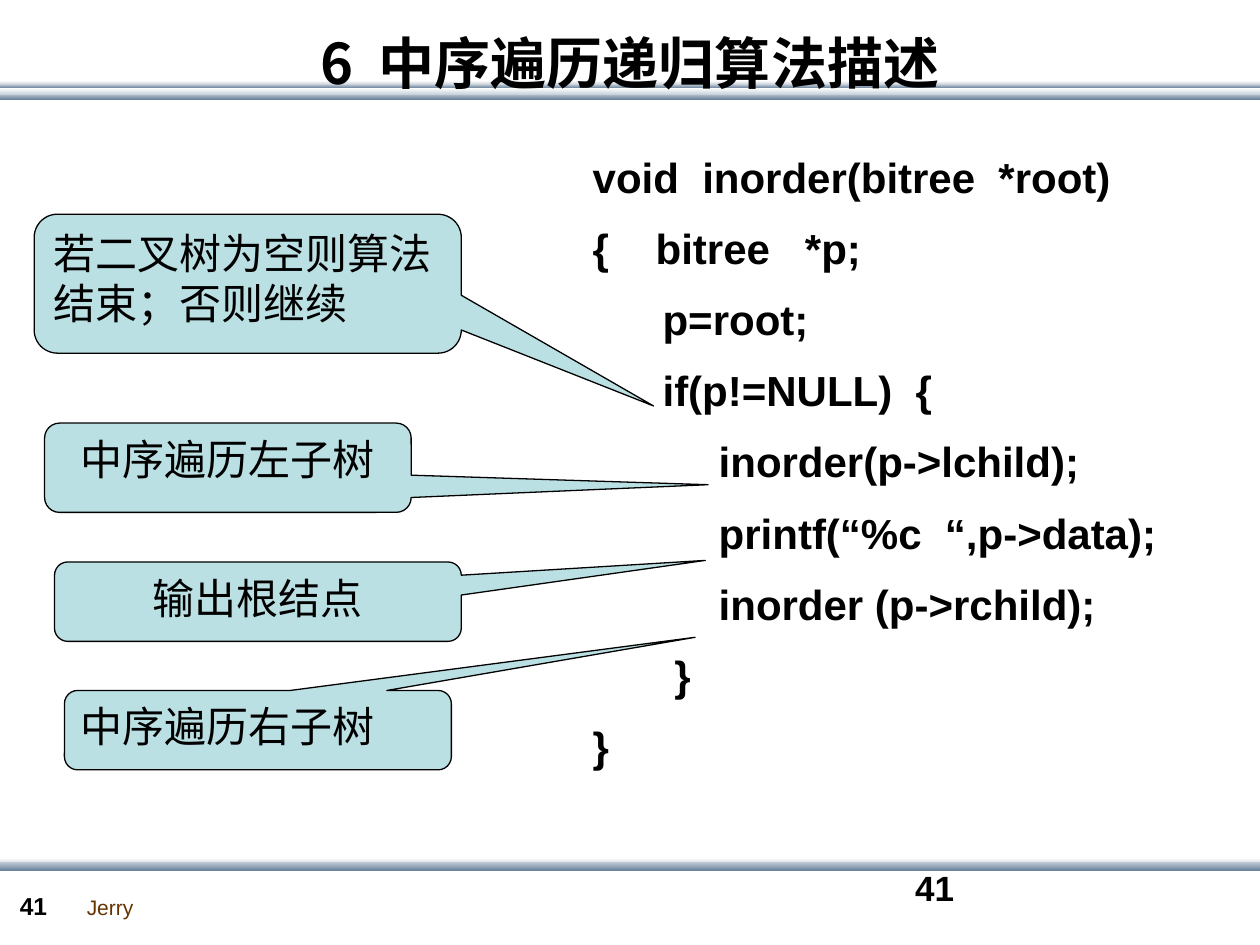
import pptx
import pptx.util
import pptx.dml.color
import pptx.enum.shapes
import pptx.enum.text
import pptx.oxml.ns
import lxml.etree

Cm, Pt = pptx.util.Cm, pptx.util.Pt
ALIGN = pptx.enum.text.PP_ALIGN
ANCHOR = pptx.enum.text.MSO_ANCHOR
SHAPE = pptx.enum.shapes.MSO_SHAPE
qn = pptx.oxml.ns.qn

# ---- Content (lengths in cm) ----
COLORS = {"white": "FFFFFF", "mist": "C8D1DA", "steel": "6A839C",
          "callout": "BBE0E3", "ink": "000000", "brown": "663300"}
LATIN, CJK = "Arial", "Noto Sans CJK SC"
SLIDE_WIDTH, SLIDE_HEIGHT = 25.4, 19.05

# top, height, first colour, last colour
RULES = [
    (1.88, 0.13, "mist", "steel"),
    (1.7, 0.08, "mist", "steel"),
    (1.78, 0.13, "white", "mist"),
    (1.63, 0.08, "white", "mist"),
    (17.3, 0.13, "white", "mist"),
    (17.37, 0.18, "mist", "steel"),
]

TITLE = "6  中序遍历递归算法描述"
AUTHOR = "Jerry"
PAGE = "41"

CODE = [
    "void  inorder(bitree  *root)",
    "{    bitree   *p;",
    "      p=root;",
    "      if(p!=NULL)  {",
    "\tinorder(p->lchild); ",
    " \tprintf(“%c  “,p->data);",
    "          \tinorder (p->rchild);",
    "       }",
    "}",
]

# text, (left, top, width, height), pointer tip offset, alignment
CALLOUTS = [
    ("若二叉树为空则算法结束；否则继续", (0.69, 4.32, 8.61, 2.8), (0.95, 0.88), ALIGN.LEFT),
    ("中序遍历左子树", (0.9, 8.53, 7.39, 1.8), (1.31, 0.19), ALIGN.CENTER),
    ("输出根结点", (1.1, 11.33, 8.2, 1.6), (1.1, -0.52), ALIGN.CENTER),
    ("中序遍历右子树", (1.3, 13.92, 7.8, 1.6), (1.13, -1.17), ALIGN.LEFT),
]

prs = pptx.Presentation()
prs.slide_width, prs.slide_height = Cm(SLIDE_WIDTH), Cm(SLIDE_HEIGHT)
slide = prs.slides.add_slide(prs.slide_layouts[6])


def rgb(color):
    return pptx.dml.color.RGBColor.from_string(COLORS[color])


def write(frame, text, size=24, color="ink", bold=False, font=LATIN,
          align=ALIGN.LEFT, anchor=ANCHOR.TOP, gap=0, tab=None, wrap=True):
    """Fill a text frame, one paragraph for each line of text."""
    frame.word_wrap = wrap
    frame.vertical_anchor = anchor
    for number, line in enumerate(text.split("\n")):
        paragraph = frame.add_paragraph() if number else frame.paragraphs[0]
        paragraph.alignment = align
        if number and gap:
            paragraph.space_before = Pt(gap)
        if tab:
            properties = paragraph._p.get_or_add_pPr()
            tabs = lxml.etree.SubElement(properties, qn("a:tabLst"))
            lxml.etree.SubElement(tabs, qn("a:tab"), pos=str(Cm(tab)), algn="l")
        run = paragraph.add_run()
        run.text = line
        run.font.name, run.font.size, run.font.bold = font, Pt(size), bold
        run.font.color.rgb = rgb(color)
        east_asian = lxml.etree.SubElement(run.font._element, qn("a:ea"))
        east_asian.set("typeface", CJK)


def add_text(box, text, **style):
    write(slide.shapes.add_textbox(*map(Cm, box)).text_frame, text, **style)


def add_shape(kind, box):
    shape = slide.shapes.add_shape(kind, *map(Cm, box))
    shape.shadow.inherit = False
    return shape


# ---- Gradient rules ----
for top, height, first, last in RULES:
    rule = add_shape(SHAPE.RECTANGLE, (0, top, SLIDE_WIDTH, height))
    rule.line.fill.background()
    rule.fill.gradient()
    rule.fill.gradient_angle = 270
    for stop, position, color in zip(rule.fill.gradient_stops, (0, 1), (first, last)):
        stop.position = position
        stop.color.rgb = rgb(color)

# ---- Footer and title ----
add_text((1.5, 17.91, 1.47, 0.76), AUTHOR, size=12, color="brown", wrap=False)
add_text((0.15, 17.83, 1.4, 0.84), PAGE, size=14, bold=True)
add_text((18.2, 17.35, 5.92, 1.27), PAGE, size=20, bold=True)
add_text((1.27, 0.28, 22.86, 1.96), TITLE, size=32, bold=True, font=CJK,
         align=ALIGN.CENTER, anchor=ANCHOR.MIDDLE)

# ---- Code ----
add_text((11.7, 2.92, 13.21, 13.44), "\n".join(CODE), bold=True,
         align=ALIGN.JUSTIFY, gap=11.9, tab=2.54)

# ---- Callouts ----
for text, box, tip, align in CALLOUTS:
    callout = add_shape(SHAPE.ROUNDED_RECTANGULAR_CALLOUT, box)
    callout.adjustments[0], callout.adjustments[1] = tip
    callout.fill.solid()
    callout.fill.fore_color.rgb = rgb("callout")
    callout.line.color.rgb = rgb("ink")
    callout.line.width = Pt(0.75)
    write(callout.text_frame, text, align=align)

prs.save("out.pptx")
